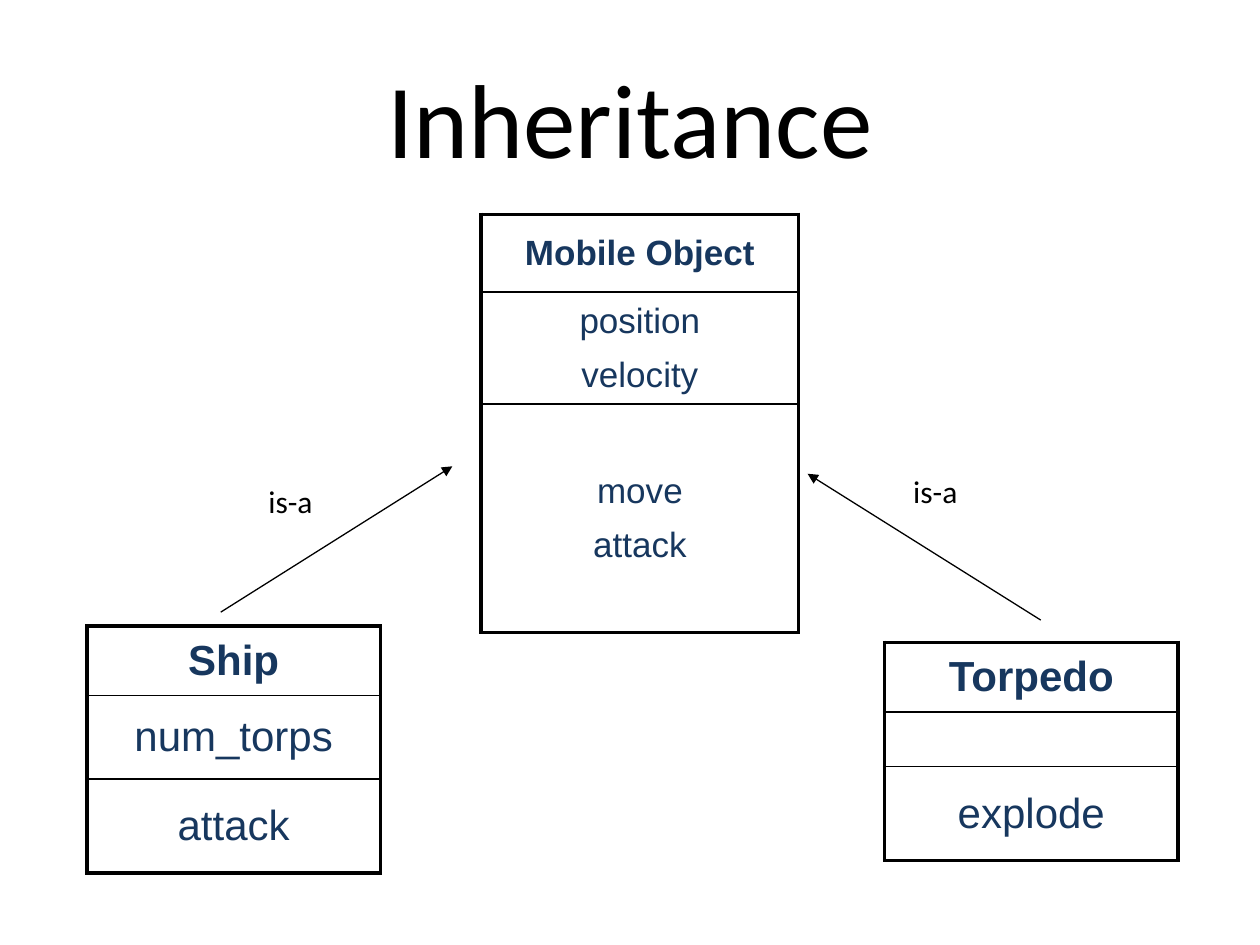
from lxml import etree
from pptx import Presentation
from pptx.dml.color import RGBColor
from pptx.enum.shapes import MSO_CONNECTOR
from pptx.enum.text import MSO_ANCHOR, MSO_AUTO_SIZE, PP_ALIGN
from pptx.oxml.ns import qn
from pptx.util import Cm, Pt

LINE = MSO_CONNECTOR.STRAIGHT
MIDDLE = MSO_ANCHOR.MIDDLE
GROW = MSO_AUTO_SIZE.SHAPE_TO_FIT_TEXT
CENTER = PP_ALIGN.CENTER
LEFT = PP_ALIGN.LEFT
BLACK = "000000"
NAVY = "17375E"


def color(code):
    return RGBColor.from_string(code)


class Board:
    body = "Calibri"
    face = "Arial"
    thick = 2.25
    thin = 1

    def __init__(self, deck):
        self.slide = deck.slides.add_slide(deck.slide_layouts[5])
        self.shapes = self.slide.shapes

    def fill_text(self, frame, lines, size, font, tint, align, bold=False, gap=0):
        for i, line in enumerate(lines):
            para = frame.add_paragraph() if i else frame.paragraphs[0]
            para.alignment = align
            para.space_before = Pt(gap)
            run = para.add_run()
            run.text = line
            run.font.size = Pt(size)
            run.font.name = font
            run.font.bold = bold
            run.font.color.rgb = color(tint)

    def title(self, text, x, y, w, h):
        box = self.shapes.title
        box.left, box.top, box.width, box.height = Cm(x), Cm(y), Cm(w), Cm(h)
        box.text_frame.vertical_anchor = MIDDLE
        self.fill_text(box.text_frame, [text], 60, self.body, BLACK, CENTER)

    def edge(self, cell, side, width):
        props = cell._tc.get_or_add_tcPr()
        line = etree.SubElement(props, qn("a:ln" + side), w=str(Pt(width)))
        fill = etree.SubElement(line, qn("a:solidFill"))
        etree.SubElement(fill, qn("a:srgbClr"), val=BLACK)

    def entity(self, x, y, w, rows, size):
        frame = self.shapes.add_table(
            len(rows), 1, Cm(x), Cm(y), Cm(w), Cm(sum(h for h, _ in rows)))
        table = frame.table
        table.first_row = table.horz_banding = False
        table.columns[0].width = Cm(w)
        last = len(rows) - 1
        for i, (height, lines) in enumerate(rows):
            table.rows[i].height = Cm(height)
            cell = table.cell(i, 0)
            cell.vertical_anchor = MIDDLE
            self.edge(cell, "L", self.thick)
            self.edge(cell, "R", self.thick)
            self.edge(cell, "T", self.thin if i else self.thick)
            self.edge(cell, "B", self.thick if i == last else self.thin)
            cell.fill.background()
            self.fill_text(cell.text_frame, lines, size, self.face, NAVY,
                           CENTER, bold=i == 0, gap=9)

    def arrow(self, x, y, to_x, to_y):
        link = self.shapes.add_connector(LINE, Cm(x), Cm(y), Cm(to_x), Cm(to_y))
        link.line.color.rgb = color(BLACK)
        link.line.width = Pt(0.75)
        props = link._element.spPr
        etree.SubElement(props.find(qn("a:ln")), qn("a:tailEnd"),
                         type="triangle")
        etree.SubElement(props, qn("a:effectLst"))

    def label(self, text, x, y):
        box = self.shapes.add_textbox(Cm(x), Cm(y), Cm(1.88), Cm(1.27))
        box.text_frame.word_wrap = False
        box.text_frame.auto_size = GROW
        self.fill_text(box.text_frame, [text], 18, self.body, BLACK, LEFT)


deck = Presentation()
deck.slide_width, deck.slide_height = Cm(25.4), Cm(19.05)
board = Board(deck)
board.title("Inheritance", 1.27, 0.76, 22.86, 3.18)
board.entity(9.7, 4.32, 6.4, [
    (1.57, ["Mobile Object"]),
    (2.26, ["position", "velocity"]),
    (4.6, ["move", "attack"]),
], 20)
board.entity(1.75, 12.62, 5.92, [
    (1.4, ["Ship"]), (1.68, ["num_torps"]), (1.9, ["attack"])], 24)
board.entity(17.83, 12.95, 5.92, [
    (1.4, ["Torpedo"]), (1.1, []), (1.9, ["explode"])], 24)
board.arrow(4.45, 12.34, 9.12, 9.4)
board.arrow(20.98, 12.5, 16.28, 9.55)
for x, y in [(5.16, 9.6), (18.16, 9.4)]:
    board.label("is-a", x, y)
deck.save("out.pptx")
